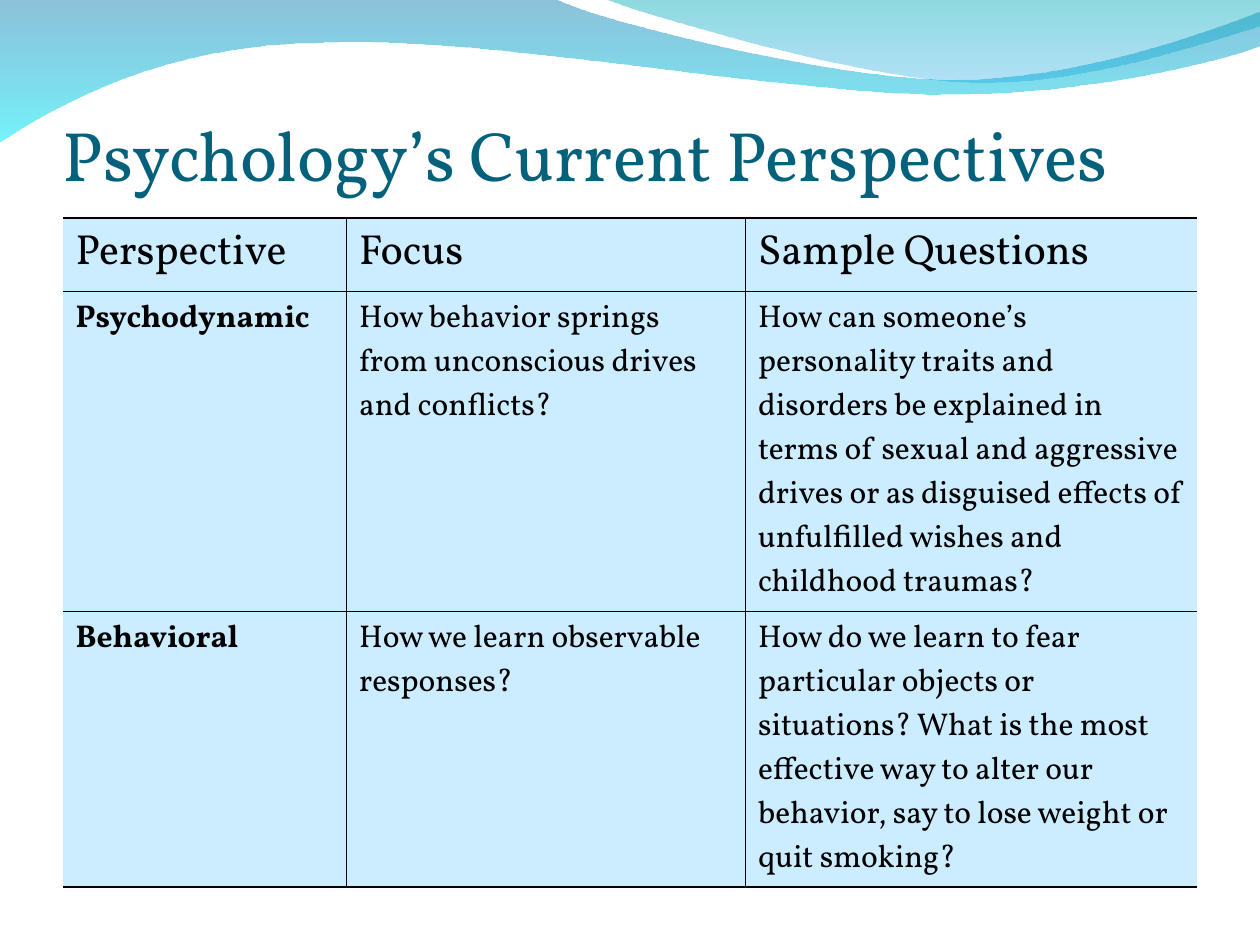
from dataclasses import dataclass

from lxml import etree
from pptx import Presentation
from pptx import util as u
from pptx.dml import color
from pptx.enum import text
from pptx.oxml import ns

Pt = u.Pt
RGB = color.RGBColor.from_string


@dataclass(frozen=True)
class Theme:
    face: str = "Vollkorn"
    title: str = "04617B"
    ink: str = "000000"
    cell: str = "CCECFF"
    big: float = 40
    head: float = 24
    body: float = 18
    thick: float = 1.08
    thin: float = 0.45


THEME = Theme()

WAVES = [
    ((-0.72, -0.72), (0.7, 0), [
        (317.5, 0),
        (343.4, 13, 478.8, 46.1, 546.5, 46.1),
        (614.9, 46.1, 690.5, 19.4, 720.7, 7.2),
        (721.4, 26.6),
        (708.5, 32.4, 627.1, 55.4, 537.8, 54.7),
        (448.6, 54.7, 275.8, 20.9, 185.8, 25.2),
        (93.6, 25.9, 33.8, 60.5, 0, 82.1),
        (0.7, 0),
    ], [("0079AF", 45), ("00EBF8", 55)]),
    ((344.9, -0.72), (0, 0), [
        (21.6, 8.6, 146.2, 45.4, 208.8, 47.5),
        (271.4, 50.4, 347, 23.8, 375.1, 15.8),
        (375.1, 0.7),
        (0, 0),
    ], [("00ADB6", 45), ("009BE5", 30)]),
]

COLS = [162, 228, 258]
ROWS = [42, 182.9, 157.6]
CELLS = [
    ["Perspective", "Focus", "Sample Questions"],
    ["Psychodynamic",
     "How behavior springs from unconscious drives and conflicts?",
     "How can someone’s personality traits and disorders be explained in "
     "terms of sexual and aggressive drives or as disguised effects of "
     "unfulfilled wishes and childhood traumas?"],
    ["Behavioral",
     "How we learn observable responses?",
     "How do we learn to fear particular objects or situations? What is "
     "the most effective way to alter our behavior, say to lose weight or "
     "quit smoking?"],
]


def apply(item, vals):
    for key, val in vals.items():
        setattr(item, key, val)


def write(frame, words, size, ink, bold=False):
    run = frame.paragraphs[0].add_run()
    run.text = words
    apply(run.font, {"name": THEME.face, "size": Pt(size), "bold": bold})
    run.font.color.rgb = RGB(ink)


def bend(shape, steps):
    lines = iter(list(shape.element.iter(ns.qn("a:lnTo"))))
    for step in steps:
        first = next(lines)
        if len(step) == 6:
            first.tag = ns.qn("a:cubicBezTo")
            for _ in range(2):
                extra = next(lines)
                first.append(extra[0])
                extra.getparent().remove(extra)


def add_wave(slide, box, start, steps, stops):
    def place(point):
        return tuple(Pt(b + p) for b, p in zip(box, point))

    knots = [step[i:i + 2] for step in steps for i in range(0, len(step), 2)]
    pen = slide.shapes.build_freeform(*place(start))
    pen.add_line_segments([place(k) for k in knots], close=True)
    wave = pen.convert_to_shape()
    bend(wave, steps)
    wave.shadow.inherit = False
    wave.line.fill.background()
    wave.fill.gradient()
    wave.fill.gradient_angle = 270
    for stop, (tint, _) in zip(wave.fill.gradient_stops, stops):
        stop.color.rgb = RGB(tint)
    tints = wave.element.spPr.iter(ns.qn("a:srgbClr"))
    for node, (_, alpha) in zip(tints, stops):
        etree.SubElement(node, ns.qn("a:alpha"), val=str(alpha * 1000))


def add_title(slide, box, words):
    frame = slide.shapes.add_textbox(*map(Pt, box)).text_frame
    apply(frame, {
        "word_wrap": True, "vertical_anchor": text.MSO_ANCHOR.BOTTOM,
        "margin_left": 0, "margin_right": 0,
        "margin_top": Pt(3.6), "margin_bottom": 0,
    })
    write(frame, words, THEME.big, THEME.title)


def set_edges(cell, sides):
    props = cell._tc.get_or_add_tcPr()
    for i, (side, width) in enumerate(sides.items()):
        line = etree.Element(ns.qn("a:ln" + side), w=str(Pt(width)))
        if width:
            fill = etree.SubElement(line, ns.qn("a:solidFill"))
            etree.SubElement(fill, ns.qn("a:srgbClr"), val=THEME.ink)
        else:
            etree.SubElement(line, ns.qn("a:noFill"))
        props.insert(i, line)


def add_grid(slide, box, cols, rows, cells):
    size = (sum(cols), sum(rows))
    shape = slide.shapes.add_table(len(rows), len(cols), *map(Pt, box + size))
    grid = shape.table
    apply(grid, {"first_row": False, "horz_banding": False})
    for col, width in zip(grid.columns, cols):
        col.width = Pt(width)
    for row, height in zip(grid.rows, rows):
        row.height = Pt(height)
    last_r, last_c = len(rows) - 1, len(cols) - 1
    for r, line in enumerate(cells):
        for c, words in enumerate(line):
            cell = grid.cell(r, c)
            cell.fill.solid()
            cell.fill.fore_color.rgb = RGB(THEME.cell)
            write(cell.text_frame, words, THEME.body if r else THEME.head,
                  THEME.ink, bold=r > 0 and c == 0)
            set_edges(cell, {
                "L": THEME.thin if c else 0,
                "R": THEME.thin if c < last_c else 0,
                "T": THEME.thin if r else THEME.thick,
                "B": THEME.thin if r < last_r else THEME.thick,
            })


def main():
    deck = Presentation()
    apply(deck, {"slide_width": Pt(720), "slide_height": Pt(540)})
    slide = deck.slides.add_slide(deck.slide_layouts[6])
    for wave in WAVES:
        add_wave(slide, *wave)
    add_title(slide, (36, 21.6, 648, 90), "Psychology’s Current Perspectives")
    add_grid(slide, (36, 124.5), COLS, ROWS, CELLS)
    deck.save("out.pptx")


if __name__ == "__main__":
    main()
